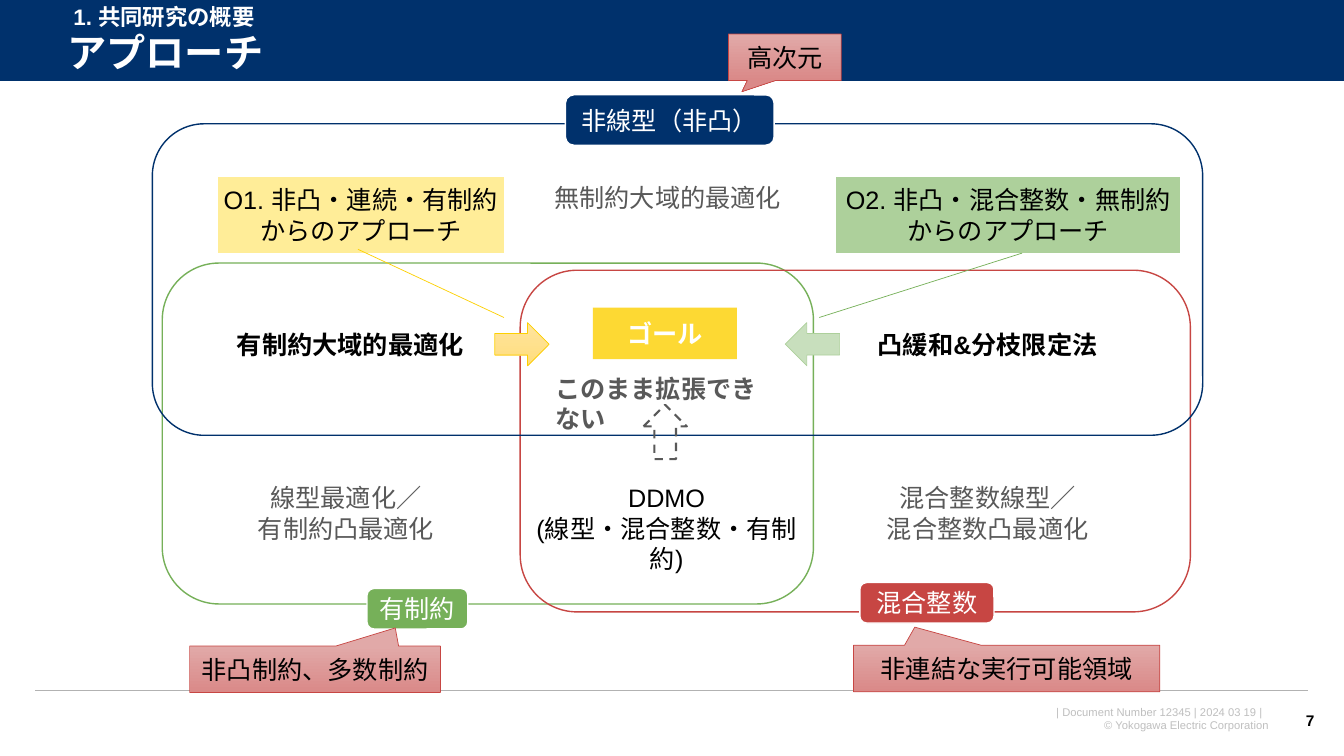
from dataclasses import dataclass

from lxml import etree
from pptx import Presentation
from pptx import util as u
from pptx.dml.color import RGBColor
from pptx.enum import dml, shapes, text
from pptx.oxml import ns

Cm, Pt = u.Cm, u.Pt
SHAPE = shapes.MSO_SHAPE
LEFT, CENTER, RIGHT = text.PP_ALIGN.LEFT, text.PP_ALIGN.CENTER, text.PP_ALIGN.RIGHT
TOP, MIDDLE = text.MSO_ANCHOR.TOP, text.MSO_ANCHOR.MIDDLE


@dataclass(frozen=True)
class Theme:
    font: str = "Arial"
    navy: str = "00316C"
    green: str = "76B059"
    red: str = "C74643"
    yellow: str = "FDD000"
    white: str = "FFFFFF"
    black: str = "000000"
    gray: str = "595959"
    rule: str = "B2B2B2"
    footer: str = "BFBFBF"
    pale_yellow: str = "FFED98"
    mid_green: str = "ADD09B"
    pale_green: str = "C8DFBD"
    pink: tuple = ("E1A9A8", "DA8988")
    amber: tuple = ("FFE49E", "FFDD7C")
    title_size: int = 28
    section_size: int = 16
    body_size: int = 18
    number_size: int = 11
    footer_size: int = 8


THEME = Theme()


def rgb(color):
    return RGBColor.from_string(color)


def style_font(font, size, color, bold):
    font.size, font.bold, font.name = Pt(size), bold, THEME.font
    font.color.rgb = rgb(color)


def write(shape, lines, size=THEME.body_size, color=THEME.black, bold=False,
          align=CENTER, anchor=MIDDLE, margin=0.25):
    frame = shape.text_frame
    frame.word_wrap = True
    frame.auto_size = text.MSO_AUTO_SIZE.NONE
    frame.vertical_anchor = anchor
    frame.margin_left = frame.margin_right = Cm(margin)
    for index, line in enumerate(lines):
        paragraph = frame.add_paragraph() if index else frame.paragraphs[0]
        paragraph.alignment = align
        run = paragraph.add_run()
        run.text = line
        style_font(run.font, size, color, bold)
        east_asian = etree.SubElement(run.font._element, ns.qn("a:ea"))
        east_asian.set("typeface", THEME.font)


def add_box(slide, kind, place, fill=None, line=None, width=0.5, adjust=()):
    shape = slide.shapes.add_shape(kind, *map(Cm, place))
    shape.shadow.inherit = False
    for index, value in enumerate(adjust):
        shape.adjustments[index] = value
    if fill is None:
        shape.fill.background()
    elif isinstance(fill, tuple):
        shape.fill.gradient()
        shape.fill.gradient_angle = 270
        for stop, color, position in zip(shape.fill.gradient_stops, fill, (0, 1)):
            stop.color.rgb = rgb(color)
            stop.position = position
    else:
        shape.fill.solid()
        shape.fill.fore_color.rgb = rgb(fill)
    if line is None:
        shape.line.fill.background()
    else:
        shape.line.color.rgb = rgb(line)
        shape.line.width = Pt(width)
    return shape


def add_label(slide, place, lines, align=LEFT, anchor=TOP, **style):
    box = slide.shapes.add_textbox(*map(Cm, place))
    write(box, lines, align=align, anchor=anchor, **style)


def add_rule(slide, left, right, top, color, width):
    line = slide.shapes.add_connector(
        shapes.MSO_CONNECTOR.STRAIGHT, Cm(left), Cm(top), Cm(right), Cm(top))
    line.line.color.rgb = rgb(color)
    line.line.width = Pt(width)
    etree.SubElement(line._element.spPr, ns.qn("a:effectLst"))


def add_badge(slide, place, name, color):
    badge = add_box(slide, SHAPE.ROUNDED_RECTANGLE, place, color, THEME.white, 1)
    write(badge, [name], color=THEME.white, margin=0.1)


def add_frame(slide):
    # Header band, footer and title
    add_label(slide, (24.08, 17.65, 8.15, 0.94),
              ["| Document Number 12345 | 2024 03 19 |  ",
               "© Yokogawa Electric Corporation"],
              align=RIGHT, size=THEME.footer_size, color=THEME.footer)
    add_box(slide, SHAPE.RECTANGLE, (0, 0, 33.87, 2.06), THEME.navy)
    add_rule(slide, 0, 33.87, 2.06, THEME.white, 0.75)
    add_rule(slide, 0.89, 32.97, 17.4, THEME.rule, 1)
    add_label(slide, (32.26, 17.65, 1.12, 1.02), ["7"], align=RIGHT,
              anchor=MIDDLE, size=THEME.number_size, bold=True)
    add_label(slide, (1.6, -0.05, 14.63, 0.94), ["1. 共同研究の概要"],
              size=THEME.section_size, color=THEME.white, bold=True)
    title = slide.shapes.title
    title.left, title.top, title.width, title.height = map(Cm, (1.45, 0.66, 31.67, 1.45))
    write(title, ["アプローチ"], size=THEME.title_size, color=THEME.white,
          bold=True, align=LEFT)
    title.text_frame.paragraphs[0].line_spacing = 0.9
    slide.shapes[-1]._element.addnext(title._element)  # in front of the band


def add_regions(slide):
    # Overlapping problem classes and their names
    for place, color in (((4.09, 6.63, 16.41, 8.59), THEME.green),
                         ((13.11, 6.81, 16.89, 8.61), THEME.red),
                         ((3.84, 3.12, 26.47, 7.85), THEME.navy)):
        add_box(slide, SHAPE.ROUNDED_RECTANGLE, place, line=color, width=1)
    add_badge(slide, (14.25, 2.39, 5.26, 1.27), "非線型（非凸）", THEME.navy)
    add_badge(slide, (9.25, 14.83, 2.54, 1.02), "有制約", THEME.green)
    add_badge(slide, (21.67, 14.68, 3.38, 1.02), "混合整数", THEME.red)


def add_approaches(slide):
    # Arrows towards the goal
    add_box(slide, SHAPE.LEFT_ARROW, (19.79, 8.13, 1.37, 1.09),
            THEME.pale_green, THEME.mid_green)
    add_box(slide, SHAPE.RIGHT_ARROW, (12.47, 8.13, 1.37, 1.09),
            THEME.amber, THEME.yellow)
    blocked = add_box(slide, SHAPE.UP_ARROW, (16.22, 10.2, 1.09, 1.37),
                      line=THEME.gray, width=1.5)
    blocked.line.dash_style = dml.MSO_LINE.DASH

    # Approach notes with leader lines; no side margin, so each fits two lines
    for place, fill, line, adjust, lines in (
            ((5.49, 4.45, 7.21, 1.93), THEME.pale_yellow, THEME.yellow,
             (0.95, 0.49, 1.84, 1), ["O1. 非凸・連続・有制約からのアプローチ"]),
            ((21.08, 4.45, 8.66, 1.93), THEME.mid_green, THEME.green,
             (1, 0.54, 1.84, -0.05),
             ["O2. 非凸・混合整数・無制約", "からのアプローチ"])):
        write(add_box(slide, SHAPE.LINE_CALLOUT_1_NO_BORDER, place, fill, line,
                      adjust=adjust), lines, margin=0)


def add_problem_labels(slide):
    add_label(slide, (13.13, 12.04, 7.34, 1.8),
              ["DDMO", "(線型・混合整数・有制約)"], align=CENTER)
    for left, width, name in ((5.72, 6.27, "有制約大域的最適化"),
                              (21.87, 6.07, "凸緩和&分枝限定法")):
        add_label(slide, (left, 8.18, width, 1.02), [name], bold=True)
    add_label(slide, (13.74, 9.27, 6.2, 1.02), ["このまま拡張できない"],
              color=THEME.gray, bold=True)
    for left, width, lines in ((6.22, 5, ["線型最適化／", "有制約凸最適化"]),
                               (22.07, 5.64, ["混合整数線型／", "混合整数凸最適化"])):
        add_label(slide, (left, 12.04, width, 1.8), lines, align=CENTER,
                  color=THEME.gray)
    add_label(slide, (13.72, 4.47, 6.27, 1.02), ["無制約大域的最適化"],
              color=THEME.gray)


def add_goal(slide):
    goal = add_box(slide, SHAPE.RECTANGLE, (14.94, 7.75, 3.63, 1.3), THEME.yellow)
    color = goal._element.spPr.find(ns.qn("a:solidFill"))[0]
    etree.SubElement(color, ns.qn("a:alpha"), val="80000")
    write(goal, ["ゴール"], color=THEME.white, bold=True)


def add_difficulties(slide):
    # Speech callouts on what makes each class hard
    for place, adjust, name in (
            ((21.51, 16.26, 7.72, 1.17), (-0.3, -0.89), "非連結な実行可能領域"),
            ((4.78, 16.28, 6.32, 1.17), (0.32, -0.89), "非凸制約、多数制約"),
            ((18.36, 0.86, 2.84, 1.17), (-0.38, 0.74), "高次元")):
        write(add_box(slide, SHAPE.RECTANGULAR_CALLOUT, place, THEME.pink,
                      THEME.red, adjust=adjust), [name])


def main():
    presentation = Presentation()
    presentation.slide_width, presentation.slide_height = Cm(33.87), Cm(19.05)
    slide = presentation.slides.add_slide(presentation.slide_layouts[5])
    for add_part in (add_frame, add_regions, add_approaches,
                     add_problem_labels, add_goal, add_difficulties):
        add_part(slide)
    presentation.save("out.pptx")


if __name__ == "__main__":
    main()
